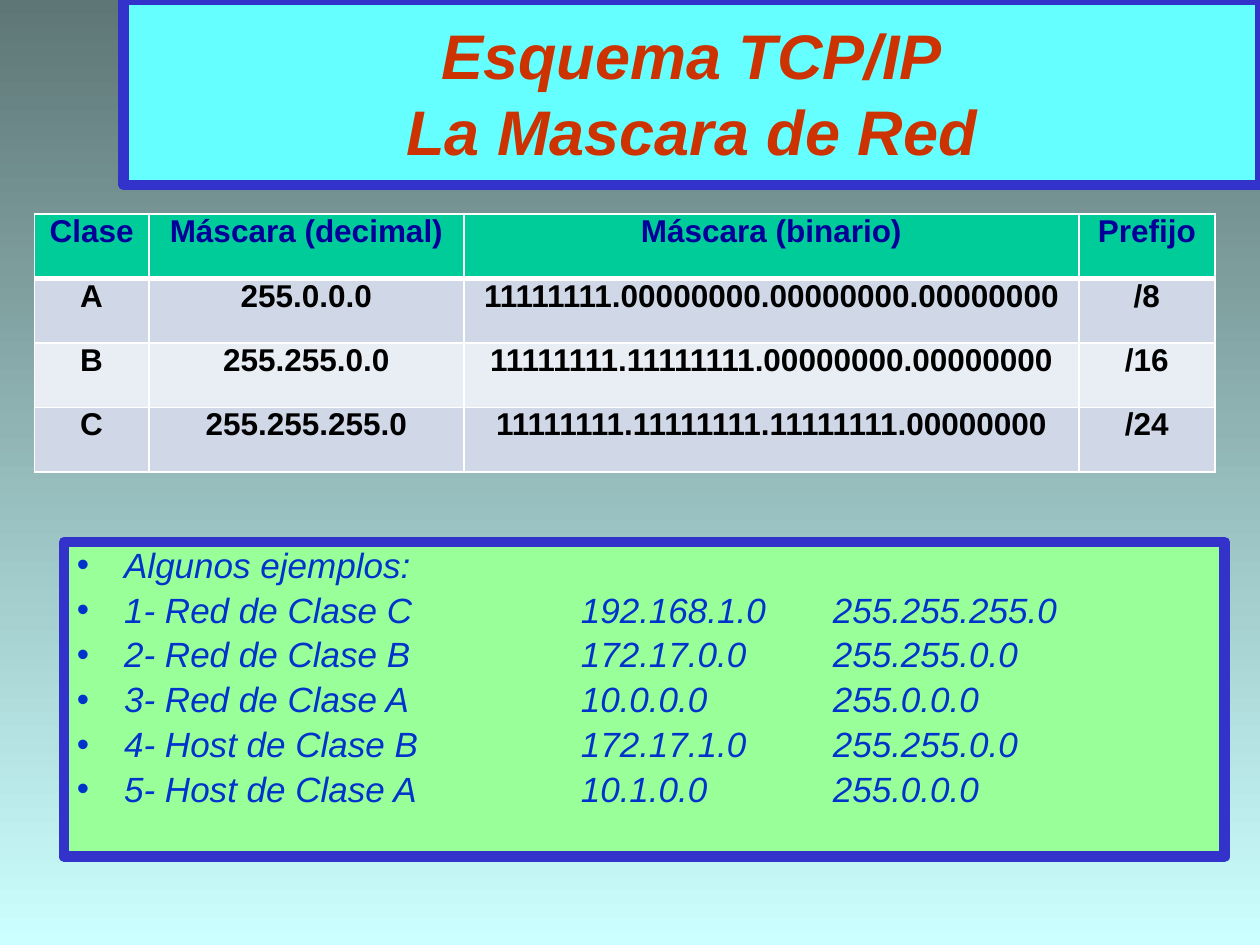
from lxml.etree import SubElement
from pptx import Presentation
from pptx.dml.color import RGBColor
from pptx.enum.text import MSO_ANCHOR, MSO_AUTO_SIZE, PP_ALIGN
from pptx.oxml.ns import qn
from pptx.util import Pt

COLORS = {
    "sky_top": "5E7676", "sky_bottom": "CCFFFF",
    "title_fill": "66FFFF", "title_text": "CC3300", "frame": "3333CC",
    "header_fill": "00CC99", "header_text": "000099",
    "band_dark": "D0D8E8", "band_light": "E9EDF4",
    "cell_text": "000000", "grid": "FFFFFF",
    "examples_fill": "99FF99", "examples_text": "0033CC",
}
MASKS = [
    ("Clase", "Máscara (decimal)", "Máscara (binario)", "Prefijo"),
    ("A", "255.0.0.0", "11111111.00000000.00000000.00000000", "/8"),
    ("B", "255.255.0.0", "11111111.11111111.00000000.00000000", "/16"),
    ("C", "255.255.255.0", "11111111.11111111.11111111.00000000", "/24"),
]
COLUMN_WIDTHS = (65.5, 180, 351.4, 77.8)
ROW_HEIGHT = 36.8
EXAMPLES = [
    "Algunos ejemplos:",
    "1- Red de Clase C\t\t192.168.1.0\t255.255.255.0",
    "2- Red de Clase B\t\t172.17.0.0\t255.255.0.0",
    "3- Red de Clase A\t\t10.0.0.0\t255.0.0.0",
    "4- Host de Clase B\t\t172.17.1.0\t255.255.0.0",
    "5- Host de Clase A\t\t10.1.0.0\t255.0.0.0",
]
TAB_STOPS = (216, 288, 432)


def rgb(name):
    return RGBColor.from_string(COLORS[name])


def paint_background(slide):
    fill = slide.background.fill
    fill.gradient()
    fill.gradient_angle = 270
    for stop, name in zip(fill.gradient_stops, ("sky_top", "sky_bottom")):
        stop.color.rgb = rgb(name)


def format_runs(paragraph, size, color, bold=False, italic=False):
    for run in paragraph.runs:
        font = run.font
        font.name, font.size = "Arial", Pt(size)
        font.bold, font.italic = bold, italic
        font.color.rgb = rgb(color)


def frame_placeholder(placeholder, box, fill, anchor):
    placeholder.left, placeholder.top, placeholder.width, placeholder.height = map(Pt, box)
    placeholder.fill.solid()
    placeholder.fill.fore_color.rgb = rgb(fill)
    placeholder.line.color.rgb = rgb("frame")
    placeholder.line.width = Pt(6)
    text_frame = placeholder.text_frame
    text_frame.word_wrap = True
    text_frame.auto_size = MSO_AUTO_SIZE.NONE
    text_frame.vertical_anchor = anchor
    return text_frame


def add_title(slide):
    heading = frame_placeholder(slide.shapes.title, (70.6, 0, 649.4, 105.8),
                                "title_fill", MSO_ANCHOR.MIDDLE)
    heading.text = "Esquema TCP/IP\vLa Mascara de Red"
    heading.paragraphs[0].alignment = PP_ALIGN.CENTER
    format_runs(heading.paragraphs[0], 36, "title_text", bold=True, italic=True)


def add_tab_stops(paragraph):
    stops = SubElement(paragraph._p.get_or_add_pPr(), qn("a:tabLst"))
    for position in TAB_STOPS:
        SubElement(stops, qn("a:tab"), pos=str(Pt(position)), algn="l")


def add_examples(slide):
    examples = frame_placeholder(slide.placeholders[1], (36.7, 309.6, 663.1, 180),
                                 "examples_fill", MSO_ANCHOR.TOP)
    examples.text = "\n".join(EXAMPLES)
    for paragraph in examples.paragraphs:
        add_tab_stops(paragraph)
        paragraph.line_spacing = 0.9
        format_runs(paragraph, 20, "examples_text", italic=True)
    examples.paragraphs[0].space_before = Pt(0)


def set_borders(cell, widths):
    properties = cell._tc.get_or_add_tcPr()
    for position, (side, width) in enumerate(widths.items()):
        border = properties.makeelement(qn(f"a:ln{side}"), {"w": str(Pt(width))})
        solid = SubElement(border, qn("a:solidFill"))
        SubElement(solid, qn("a:srgbClr"), val=COLORS["grid"])
        properties.insert(position, border)


def format_cell(cell, text, row):
    header = row == 0
    cell.text = text
    cell.margin_left = cell.margin_right = Pt(5)
    cell.margin_top = cell.margin_bottom = Pt(0)
    cell.fill.solid()
    band = "band_dark" if row % 2 else "band_light"
    cell.fill.fore_color.rgb = rgb("header_fill" if header else band)
    set_borders(cell, {"L": 1, "R": 1, "T": 3 if row == 1 else 1, "B": 3 if header else 1})
    paragraph = cell.text_frame.paragraphs[0]
    paragraph.alignment = PP_ALIGN.CENTER
    format_runs(paragraph, 18, "header_text" if header else "cell_text", bold=True)


def add_mask_table(slide):
    frame = slide.shapes.add_table(len(MASKS), len(COLUMN_WIDTHS), Pt(19.6), Pt(122.4),
                                   Pt(sum(COLUMN_WIDTHS)), Pt(ROW_HEIGHT * len(MASKS)))
    table = frame.table
    for column, width in zip(table.columns, COLUMN_WIDTHS):
        column.width = Pt(width)
    for row, values in enumerate(MASKS):
        table.rows[row].height = Pt(ROW_HEIGHT)
        for column, text in enumerate(values):
            format_cell(table.cell(row, column), text, row)


def main():
    presentation = Presentation()
    presentation.slide_width, presentation.slide_height = Pt(720), Pt(540)
    slide = presentation.slides.add_slide(presentation.slide_layouts[1])
    paint_background(slide)
    add_title(slide)
    add_mask_table(slide)
    add_examples(slide)
    presentation.save("out.pptx")


if __name__ == "__main__":
    main()
